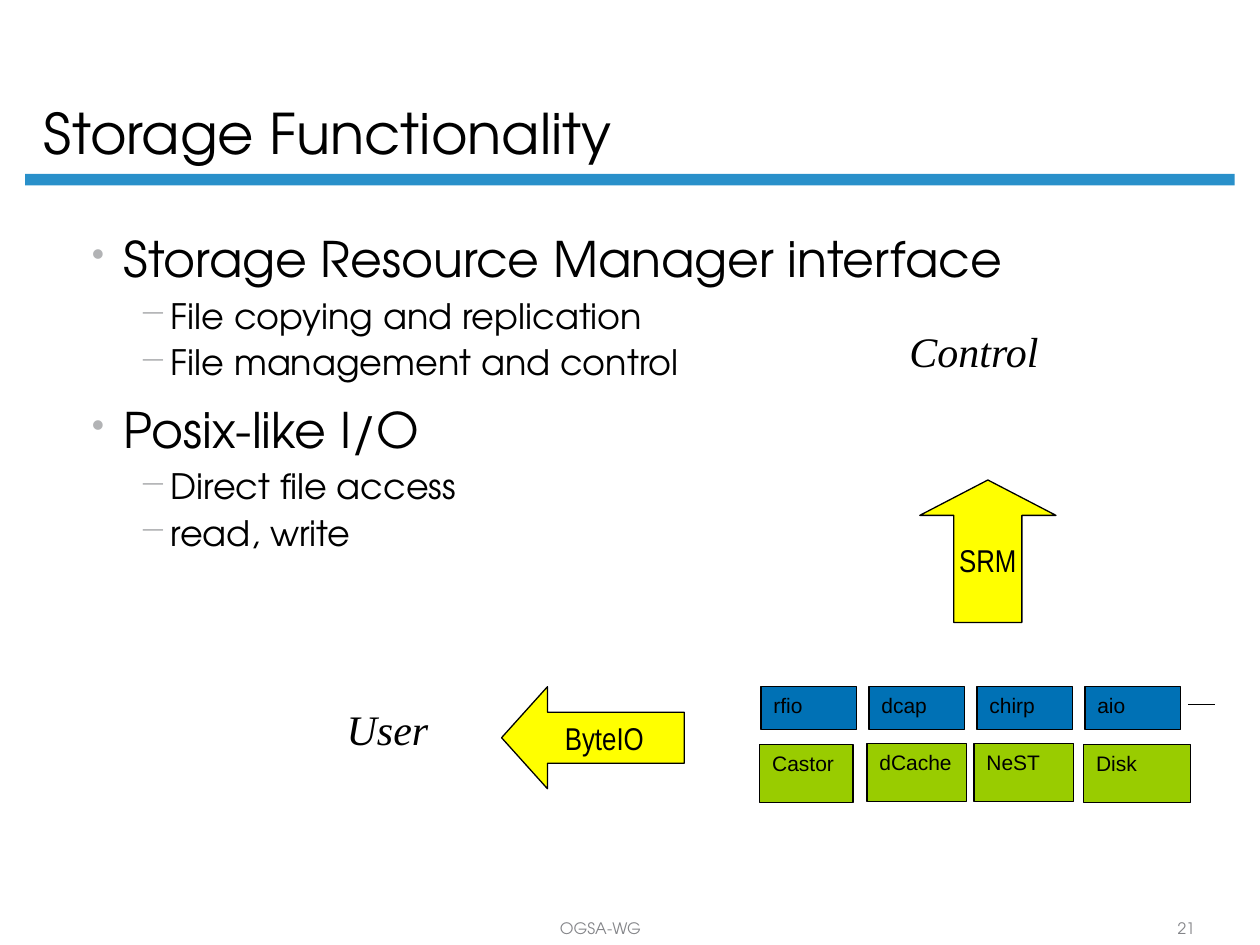
"""Build the Storage Functionality slide."""
from lxml import etree
from pptx import Presentation
from pptx import util as u
from pptx.dml.color import RGBColor
from pptx.enum import shapes, text
from pptx.oxml import ns

COLORS = {"black": "000000", "bar": "2990CA", "bullet": "B2B3B5", "blue": "0071B5",
          "green": "99CC00", "yellow": "FFFF00", "footer": "848589"}
ADVENTOR = "TeX Gyre Adventor"
TOP, MIDDLE, BOTTOM = text.MSO_ANCHOR.TOP, text.MSO_ANCHOR.MIDDLE, text.MSO_ANCHOR.BOTTOM
LEFT, CENTER = text.PP_ALIGN.LEFT, text.PP_ALIGN.CENTER
RECTANGLE = shapes.MSO_SHAPE.RECTANGLE

presentation = Presentation()
presentation.slide_width, presentation.slide_height = u.Pt(720), u.Pt(540)
slide = presentation.slides.add_slide(presentation.slide_layouts[6])


def write(shape, words, font, size, color="black", anchor=TOP, align=LEFT,
          wrap=True, spacing=1.0, italic=False):
    frame = shape.text_frame
    frame.word_wrap, frame.vertical_anchor = wrap, anchor
    paragraph = frame.paragraphs[0]
    paragraph.text = words
    paragraph.alignment, paragraph.line_spacing = align, spacing
    values = {"name": font, "size": u.Pt(size), "italic": italic}
    for name, value in values.items():
        setattr(paragraph.runs[0].font, name, value)
    paragraph.runs[0].font.color.rgb = RGBColor.from_string(COLORS[color])


def add_block(kind, box, fill, outlined=True):
    shape = slide.shapes.add_shape(kind, *map(u.Pt, box))
    shape.shadow.inherit = False
    shape.fill.solid()
    shape.fill.fore_color.rgb = RGBColor.from_string(COLORS[fill])
    if outlined:
        shape.line.color.rgb = RGBColor.from_string(COLORS["black"])
        shape.line.width = u.Pt(0.75)
    else:
        shape.line.fill.background()
    return shape


add_block(RECTANGLE, (14.4, 99.4, 691.2, 6.5), "bar", outlined=False)

labels = [
    ("Storage Functionality", (18, 8.6, 616.3, 90),
     {"font": ADVENTOR, "size": 32, "anchor": BOTTOM, "spacing": 0.9}),
    ("Control", (511.9, 185.8, 89.3, 33.1),
     {"font": "Times New Roman", "size": 24, "align": CENTER, "wrap": False,
      "spacing": 0.9, "italic": True}),
    ("User", (190.8, 401.8, 61.2, 33.1),
     {"font": "Times New Roman", "size": 24, "align": CENTER, "wrap": False,
      "spacing": 0.9, "italic": True}),
    ("OGSA-WG", (167.8, 522, 350.6, 17.3),
     {"font": ADVENTOR, "size": 9, "color": "footer", "anchor": BOTTOM, "align": CENTER}),
    ("21", (648, 522, 59.8, 17.3),
     {"font": ADVENTOR, "size": 9, "color": "footer", "anchor": BOTTOM, "align": CENTER}),
]
for words, box, style in labels:
    write(slide.shapes.add_textbox(*map(u.Pt, box)), words, **style)

outline = [
    (0, "Storage Resource Manager interface"),
    (1, "File copying and replication"),
    (1, "File management and control"),
    (0, "Posix-like I/O"),
    (1, "Direct file access"),
    (1, "read, write"),
]
levels = [
    {"size": 28, "before": 10.5, "after": 3.5, "margin": 18, "bullet": "•", "scale": 75},
    {"size": 20, "before": 2.5, "after": 2.5, "margin": 45, "bullet": "−", "scale": 100},
]
body = slide.shapes.add_textbox(u.Pt(45.4), u.Pt(131), u.Pt(575.3), u.Pt(344.2)).text_frame
body.word_wrap = True
for index, (level, words) in enumerate(outline):
    style = levels[level]
    paragraph = body.add_paragraph() if index else body.paragraphs[0]
    properties = paragraph._p.get_or_add_pPr()
    properties.set("marL", str(u.Pt(style["margin"])))
    properties.set("indent", str(u.Pt(-18)))
    bullet_color = etree.SubElement(properties, ns.qn("a:buClr"))
    etree.SubElement(bullet_color, ns.qn("a:srgbClr"), val=COLORS["bullet"])
    etree.SubElement(properties, ns.qn("a:buSzPct"), val=str(style["scale"] * 1000))
    etree.SubElement(properties, ns.qn("a:buChar"), char=style["bullet"])
    formats = {"level": level, "line_spacing": 0.9, "space_after": u.Pt(style["after"]),
               "space_before": u.Pt(style["before"] if index else 0)}
    for name, value in formats.items():
        setattr(paragraph, name, value)
    run = paragraph.add_run()
    run.text = words
    for name, value in {"name": ADVENTOR, "size": u.Pt(style["size"])}.items():
        setattr(run.font, name, value)
    run.font.color.rgb = RGBColor.from_string(COLORS["black"])

for column, words in enumerate(["rfio", "dcap", "chirp", "aio"]):
    shape = add_block(RECTANGLE, (434.9 + 61.7 * column, 392.4, 54.7, 24.5), "blue")
    write(shape, words, "Arial", 12)

systems = [("Castor", 434.2, 425.5, 53.3), ("dCache", 495.4, 424.8, 56.9),
           ("NeST", 556.6, 424.8, 56.9), ("Disk", 619.2, 425.5, 61.2)]
for words, left, top, width in systems:
    write(add_block(RECTANGLE, (left, top, width, 33.1), "green"), words, "Arial", 12)

more_line = slide.shapes.add_connector(
    shapes.MSO_CONNECTOR.STRAIGHT, u.Pt(679), u.Pt(402.5), u.Pt(694.1), u.Pt(402.5))
more_line.line.color.rgb = RGBColor.from_string(COLORS["black"])
more_line.line.width = u.Pt(0.75)
etree.SubElement(more_line._element.spPr, ns.qn("a:effectLst"))

arrows = [
    ("ByteIO", shapes.MSO_SHAPE.LEFT_ARROW, (286.6, 392.4, 104.4, 58.3), 0.45),
    ("SRM", shapes.MSO_SHAPE.UP_ARROW, (525.6, 274.3, 77.8, 81.4), 0.26),
]
for words, kind, box, head in arrows:
    arrow = add_block(kind, box, "yellow")
    arrow.adjustments[0], arrow.adjustments[1] = 0.5, head
    write(arrow, words, "Arial Narrow", 18, anchor=MIDDLE, align=CENTER, wrap=False)

presentation.save("out.pptx")
